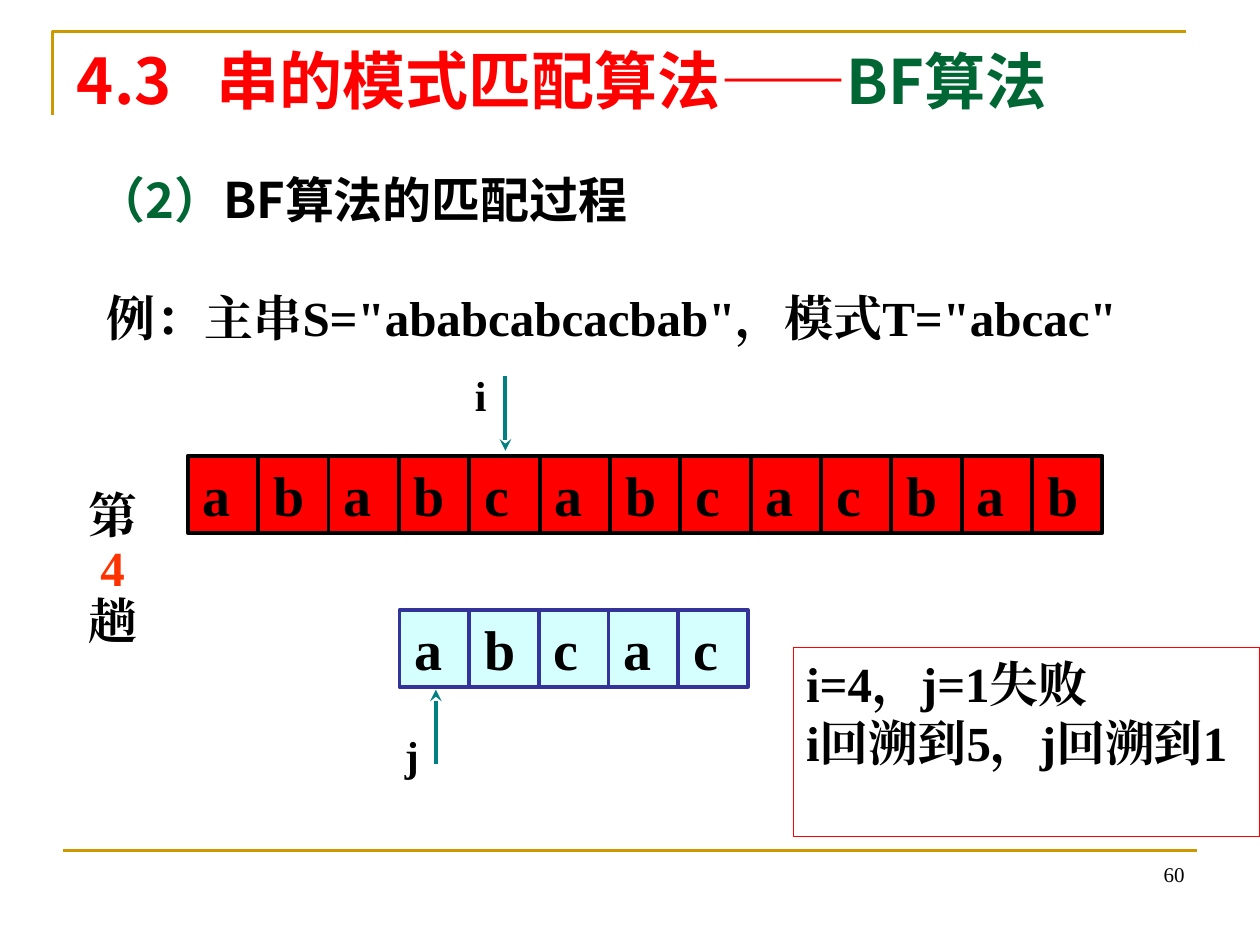
import dataclasses

import pptx
import pptx.dml.color
import pptx.enum.dml
import pptx.enum.shapes
import pptx.enum.text
import pptx.oxml
import pptx.oxml.ns
import pptx.util

Pt = pptx.util.Pt
ALIGN = pptx.enum.text.PP_ALIGN
ANCHOR = pptx.enum.text.MSO_ANCHOR
INSETS = (7.2, 3.6, 7.2, 3.6)


@dataclasses.dataclass(frozen=True)
class Theme:
    serif: str = "Times New Roman"
    sans: str = "Noto Sans CJK SC"
    black: str = "000000"
    red: str = "FF0000"
    orange: str = "FF3300"
    green: str = "006633"
    gold: str = "CC9900"
    teal: str = "008080"
    navy: str = "333399"
    pale: str = "D5FFFF"
    title: float = 36
    subtitle: float = 35
    cell: float = 32
    body: float = 28
    pointer: float = 24
    small: float = 12


T = Theme()


def rgb(value):
    return pptx.dml.color.RGBColor.from_string(value)


def write(sp, paragraphs, size=T.body, font=T.serif, color=T.black, bold=True,
          align=ALIGN.LEFT, anchor=ANCHOR.TOP, insets=INSETS, spacing=1.0,
          tabs=(), indents=()):
    """Each paragraph is a list of runs: text, or (text, color[, size])."""
    tf = sp.text_frame
    tf.word_wrap = True
    tf.auto_size = pptx.enum.text.MSO_AUTO_SIZE.NONE
    tf.vertical_anchor = anchor
    tf.margin_left, tf.margin_top, tf.margin_right, tf.margin_bottom = map(Pt, insets)
    for n, runs in enumerate(paragraphs):
        p = tf.paragraphs[0] if n == 0 else tf.add_paragraph()
        pPr = p._p.get_or_add_pPr()
        if indents:
            pPr.set("marL", str(Pt(indents[n])))
            pPr.set("indent", "0")
        if tabs:
            tab_list = pptx.oxml.parse_xml(
                "<a:tabLst %s/>" % pptx.oxml.ns.nsdecls("a"))
            for pos in tabs:
                tab_list.append(pptx.oxml.parse_xml(
                    '<a:tab %s pos="%d" algn="l"/>' % (pptx.oxml.ns.nsdecls("a"), Pt(pos))))
            pPr.append(tab_list)
        p.alignment = align
        p.line_spacing = spacing
        p.space_before = Pt(0)
        for run in runs:
            text, tint, points = ((run,) if isinstance(run, str) else run) + (None,) * (
                2 if isinstance(run, str) else 3 - len(run))
            r = p.add_run()
            r.text = text
            r.font.name = font
            r.font.size = Pt(points or size)
            r.font.bold = bold
            r.font.color.rgb = rgb(tint or color)
            r.font._element.append(pptx.oxml.parse_xml(
                '<a:ea %s typeface="%s"/>' % (pptx.oxml.ns.nsdecls("a"), font)))


def add_text(s, box, paragraphs, **fmt):
    write(s.shapes.add_textbox(*map(Pt, box)), paragraphs, **fmt)


def add_line(s, start, end, color, width=2.25, arrow=False):
    c = s.shapes.add_connector(
        pptx.enum.shapes.MSO_CONNECTOR.STRAIGHT, *map(Pt, start + end))
    c.line.color.rgb = rgb(color)
    c.line.width = Pt(width)
    if arrow:
        c.line._get_or_add_ln().append(pptx.oxml.parse_xml(
            '<a:tailEnd %s type="stealth"/>' % pptx.oxml.ns.nsdecls("a")))
    c._element.spPr.append(pptx.oxml.parse_xml(
        "<a:effectLst %s/>" % pptx.oxml.ns.nsdecls("a")))


def add_rect(s, box, line, width, fill=None):
    sp = s.shapes.add_shape(pptx.enum.shapes.MSO_SHAPE.RECTANGLE, *map(Pt, box))
    sp.shadow.inherit = False
    if fill:
        sp.fill.solid()
        sp.fill.fore_color.rgb = rgb(fill)
    else:
        sp.fill.background()
    sp.line.color.rgb = rgb(line)
    sp.line.width = Pt(width)
    return sp


def add_frame(s, box):
    """Gold corner at top left, gold rule at the bottom, and the page number."""
    x, y, w, h = box
    builder = s.shapes.build_freeform(Pt(x), Pt(y + 48), scale=1.0)
    builder.add_line_segments([(Pt(x), Pt(y)), (Pt(x + w), Pt(y))], close=False)
    corner = builder.convert_to_shape()
    corner.shadow.inherit = False
    corner.fill.background()
    corner.line.color.rgb = rgb(T.gold)
    corner.line.width = Pt(1.5)
    add_line(s, (x + 6, y + h), (x + w + 6, y + h), T.gold, 1.5)
    add_text(s, (x + w - 162, y + h - 11.5, 168, 36), [["60"]], size=T.small,
             bold=False, align=ALIGN.RIGHT, anchor=ANCHOR.BOTTOM)


def add_title(s, box):
    sp = s.shapes.title
    sp.left, sp.top, sp.width, sp.height = map(Pt, box)
    write(sp, [["4.3\t串的模式匹配算法——", ("BF算法", T.green, T.subtitle)]],
          size=T.title, font=T.sans, color=T.red, tabs=[80])


def add_string_row(s, box, letters, fill, line):
    """One bar holding a string, split into equal cells."""
    x, y, w, h = box
    pitch = w / len(letters)
    offsets = [round(pitch * k, 2) for k in range(1, len(letters))]
    bar = add_rect(s, box, line, 2.25, fill)
    write(bar, [["\t".join(letters)]], size=T.cell, anchor=ANCHOR.MIDDLE,
          insets=(8.64, 0, 0, 0), tabs=offsets)
    for dx in offsets:
        add_line(s, (x + dx, y), (x + dx, y + h), line)


def add_pointer(s, label, label_at, start, end):
    add_text(s, label_at + (18, 36), [[label]], size=T.pointer, insets=(0, 3.6, 0, 3.6))
    add_line(s, start, end, T.teal, arrow=True)


def add_matching(s, box):
    """Main string above, pattern below, with pointers i and j."""
    x, y, w, h = box
    bar = 44
    pattern_x, pattern_y = x + 121, y + h - bar
    add_string_row(s, (x, y, w, bar), "ababcabcacbab", T.red, T.black)
    add_string_row(s, (pattern_x, pattern_y, 199, bar), "abcac", T.pale, T.navy)
    add_pointer(s, "i", (x + 164, y - 53), (x + 181.5, y - 45.5), (x + 181.5, y - 3))
    add_pointer(s, "j", (pattern_x + 3, y + h + 20.5),
                (pattern_x + 20.8, y + h + 44), (pattern_x + 20.8, y + h + 1.5))


def add_result(s, box):
    write(add_rect(s, box, T.red, 0.75), [["i=4，j=1失败"], ["i回溯到5，j回溯到1"]])


def main():
    prs = pptx.Presentation()
    prs.slide_width, prs.slide_height = Pt(720), Pt(540)
    s = prs.slides.add_slide(prs.slide_layouts[5])
    add_frame(s, (30, 18, 648, 468))
    add_title(s, (36.7, 20, 648, 65.5))
    add_text(s, (48, 83, 638, 68), [[("（2）", T.green), "BF算法的匹配过程"]],
             font=T.sans, spacing=1.3)
    add_text(s, (54, 160.5, 642, 41), [['例：主串S="ababcabcacbab"，模式T="abcac"']])
    add_matching(s, (107.3, 260.6, 522.7, 132))
    add_result(s, (453.6, 370, 266.4, 108))
    add_text(s, (43.2, 277, 51, 98), [["第"], [("4", T.orange)], ["趟"]],
             spacing=0.9, indents=(0, 7, 0))
    prs.save("out.pptx")


if __name__ == "__main__":
    main()
